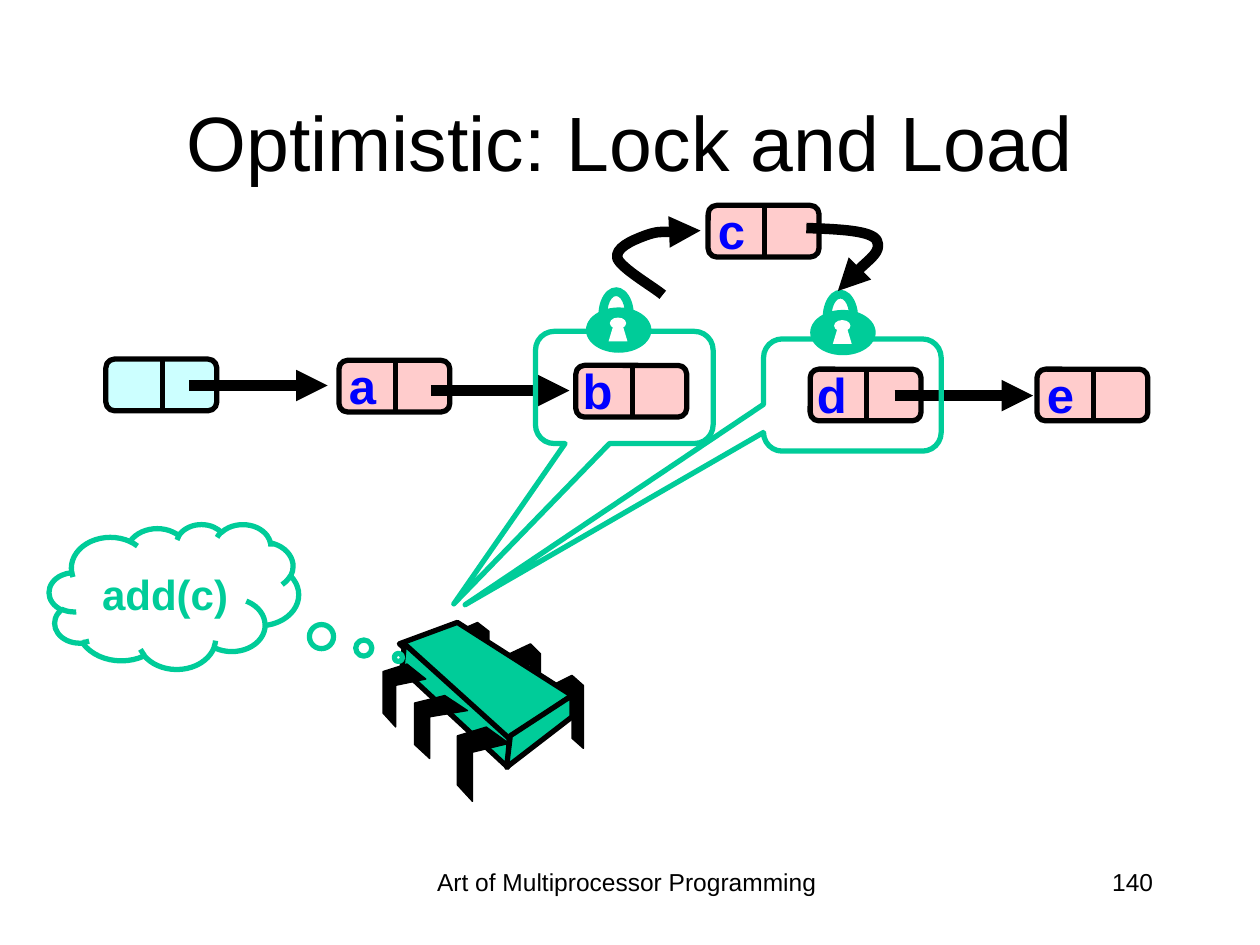
from typing import NamedTuple

from lxml import etree
from pptx import Presentation, util as u
from pptx.dml.color import RGBColor
from pptx.enum import shapes as sh, text as tx
from pptx.oxml.ns import qn

PX = 9144  # 100 px to the inch
FONT = "Arial"
BLACK, BLUE, WHITE = "000000", "0000FF", "FFFFFF"
GREEN, PINK, CYAN = "00CC99", "FFCCCC", "CCFFFF"
KIND = sh.MSO_SHAPE
ALIGN = tx.PP_ALIGN


class Node(NamedTuple):
    x: int
    y: int
    name: str = ""
    wide: int = 41
    fill: str = PINK


class Face(NamedTuple):
    fill: str
    width: float
    points: list


class Callout(NamedTuple):
    kind: int
    box: tuple
    tip: tuple
    label: str = ""


NODES = [
    Node(84, 285, fill=CYAN),
    Node(269, 286, "a"),
    Node(457, 290, "b", 44),
    Node(643, 293, "d", 44),
    Node(823, 293, "e"),
    Node(562, 163, "c"),
]
LINKS = [(150, 306), (342, 310), (710, 314)]
LEG = (BLACK, 0.75)
SIDE = (GREEN, 3)
CHIP = [
    Face(*LEG, [(438, 544), (454, 536), (463, 544), (463, 594),
                (454, 586), (454, 552), (438, 561)]),
    Face(*LEG, [(404, 519), (421, 511), (429, 519), (429, 569),
                (421, 561), (421, 527), (404, 536)]),
    Face(*LEG, [(363, 501), (379, 494), (388, 501), (388, 544),
                (379, 537), (379, 508), (363, 516)]),
    Face(*SIDE, [(363, 494), (454, 552), (403, 587), (317, 511)]),
    Face(*SIDE, [(321, 511), (404, 586), (403, 609), (319, 531)]),
    Face(*SIDE, [(454, 552), (454, 569), (402, 609), (405, 584)]),
    Face(*LEG, [(386, 577), (404, 590), (375, 597), (375, 636),
                (363, 623), (363, 584)]),
    Face(*LEG, [(353, 552), (371, 564), (341, 569), (341, 602),
                (329, 591), (329, 558)]),
    Face(*LEG, [(323, 527), (338, 539), (314, 544), (314, 577),
                (304, 566), (304, 533)]),
]
CALLOUTS = [
    Callout(KIND.ROUNDED_RECTANGULAR_CALLOUT, (425, 263, 141, 89), (-0.96, 1.93)),
    Callout(KIND.CLOUD_CALLOUT, (39, 416, 198, 115), (0.9, 0.42), "add(c)"),
    Callout(KIND.ROUNDED_RECTANGULAR_CALLOUT, (606, 269, 141, 89), (-2.18, 1.87)),
]
LOCKS = [(465, 228), (643, 230)]
CURVES = [
    [(526, 234), (519, 228), (493, 213), (490, 205), (488, 197),
     (501, 191), (512, 187), (523, 183), (549, 184), (556, 183)],
    [(640, 181), (666, 182), (692, 183), (696, 191),
     (700, 200), (670, 224), (665, 231)],
]

deck = Presentation()
deck.slide_width, deck.slide_height = 1000 * PX, 750 * PX
slide = deck.slides.add_slide(deck.slide_layouts[5])
draw = slide.shapes


def emu(*vals: int) -> list[int]:
    return [v * PX for v in vals]


def hue(code: str) -> RGBColor:
    return RGBColor.from_string(code)


def paint(shape, fill: str = "", line: str = "", width: float = 3):
    """Set fill and line; an empty colour means none."""
    shape.shadow.inherit = False
    if fill:
        shape.fill.solid()
        shape.fill.fore_color.rgb = hue(fill)
    else:
        shape.fill.background()
    if line:
        shape.line.color.rgb = hue(line)
        shape.line.width = u.Pt(width)
    else:
        shape.line.fill.background()
    return shape


def preset(kind, box: tuple, *look):
    return paint(draw.add_shape(kind, *emu(*box)), *look)


def outline(points: list, *look, close: bool = True):
    pen = draw.build_freeform(*points[0], scale=PX)
    pen.add_line_segments(points[1:], close=close)
    return paint(pen.convert_to_shape(), *look)


def write(shape, words: str, size: int, color: str, align, bold: bool = False) -> None:
    para = shape.text_frame.paragraphs[0]
    para.text = words
    para.alignment = align
    font = para.font
    font.name, font.size, font.bold = FONT, u.Pt(size), bold
    font.color.rgb = hue(color)


def label(box: tuple, words: str, *style, wrap: bool = True):
    area = draw.add_textbox(*emu(*box))
    area.text_frame.word_wrap = wrap
    write(area, words, *style)
    return area


def rule(start: tuple, end: tuple, width: float):
    line = draw.add_connector(sh.MSO_CONNECTOR.STRAIGHT, *emu(*start, *end))
    line.line.color.rgb = hue(BLACK)
    line.line.width = u.Pt(width)
    etree.SubElement(line._element.spPr, qn("a:effectLst"))
    return line


def arrow(shape) -> None:
    etree.SubElement(shape.line._get_or_add_ln(), qn("a:tailEnd"), type="triangle")


def curve(points: list) -> None:
    """Draw an arrow of cubic curves: a start, then three points for each."""
    shape = outline(points, "", BLACK, 6, close=False)
    route = shape._element.find(".//" + qn("a:path"))
    steps = route.findall(qn("a:lnTo"))
    for i in range(0, len(steps), 3):
        bend = etree.SubElement(route, qn("a:cubicBezTo"))
        for step in steps[i:i + 3]:
            bend.append(step[0])
            route.remove(step)
    arrow(shape)


def cell(node: Node) -> None:
    x, y = node.x, node.y
    parts = [preset(KIND.ROUNDED_RECTANGLE, (x, y, 88, 41), node.fill, BLACK),
             rule((x + 45, y), (x + 45, y + 41), 3)]
    if node.name:
        box = (x + 39 - node.wide, y - 9, node.wide, 57)
        parts.append(label(box, node.name, 28, BLUE, ALIGN.RIGHT, True, wrap=False))
    draw.add_group_shape(parts)


def lock(x: int, y: int) -> None:
    plate = preset(KIND.OVAL, (x, y + 16, 52, 36), GREEN)
    hole = preset(KIND.OVAL, (x + 19, y + 24, 13, 9), WHITE)
    slot = preset(KIND.TRAPEZOID, (x + 18, y + 30, 15, 13), WHITE)
    slot.adjustments[0] = 0.3
    bow = preset(KIND.BLOCK_ARC, (x + 10, y, 28, 43), GREEN)
    draw.add_group_shape([plate, hole, slot, bow])


def bubble(call: Callout) -> None:
    shape = preset(call.kind, call.box, "", GREEN)
    shape.adjustments[0], shape.adjustments[1] = call.tip
    if call.label:
        shape.text_frame.vertical_anchor = tx.MSO_ANCHOR.MIDDLE
        write(shape, call.label, 24, GREEN, ALIGN.CENTER, True)


def main() -> None:
    title = draw.title
    title.left, title.top, title.width, title.height = emu(75, 49, 850, 125)
    title.text_frame.vertical_anchor = tx.MSO_ANCHOR.MIDDLE
    write(title, "Optimistic: Lock and Load", 44, BLACK, ALIGN.CENTER)
    label((310, 683, 375, 50), "Art of Multiprocessor Programming", 14, BLACK, ALIGN.CENTER)
    label((717, 683, 208, 50), "140", 14, BLACK, ALIGN.RIGHT)

    for node in NODES:
        cell(node)
    for x, y in LINKS:
        arrow(rule((x, y), (x + 110, y), 6))
    draw.add_group_shape([outline(f.points, f.fill, BLACK, f.width) for f in CHIP])
    for call in CALLOUTS:
        bubble(call)
    for spot in LOCKS:
        lock(*spot)
    for points in CURVES:
        curve(points)
    deck.save("out.pptx")


if __name__ == "__main__":
    main()
